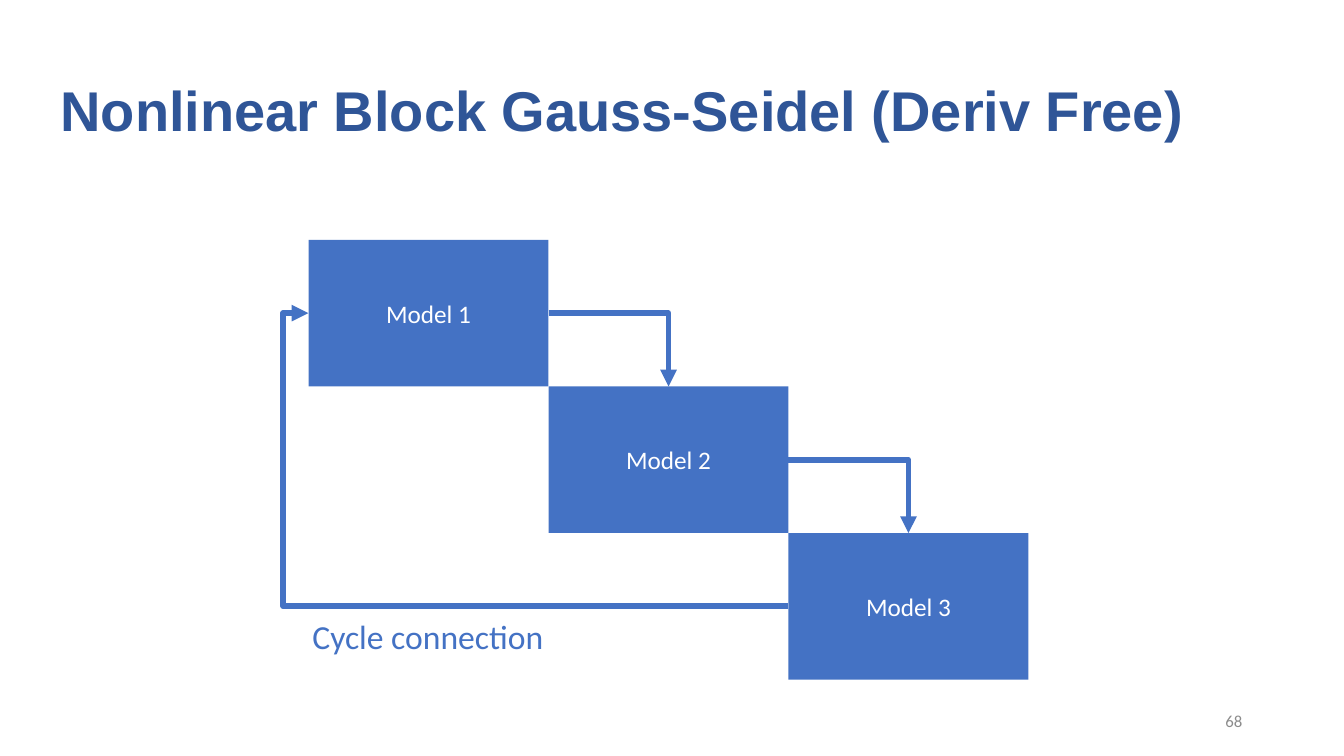
"""Builds a slide showing a block Gauss-Seidel cycle through three models."""
from pptx import Presentation
from pptx.dml.color import RGBColor
from pptx.enum.shapes import MSO_CONNECTOR, MSO_SHAPE
from pptx.enum.text import MSO_ANCHOR, PP_ALIGN
from pptx.oxml.ns import qn
from pptx.util import Inches, Pt
from lxml.etree import SubElement

TITLE = "Nonlinear Block Gauss-Seidel (Deriv Free)"
MODELS = ["Model 1", "Model 2", "Model 3"]
CYCLE_LABEL = "Cycle connection"
PAGE = "68"

BLUE, NAVY, GRAY, WHITE = "4472C4", "2F5597", "8C8C8C", "FFFFFF"
LEFT, TOP = 3.06, 2.38
COL, ROW = 2.38, 1.454
TOP_SIDE, LEFT_SIDE, RIGHT_SIDE = 0, 1, 3
CYCLE_BEND = 105300


def rgb(value):
    return RGBColor.from_string(value)


def place(sp, x, y, w, h):
    sp.left, sp.top, sp.width, sp.height = map(Inches, (x, y, w, h))


def write(sp, text, size, color, align, anchor, font="Calibri", bold=False):
    tf = sp.text_frame
    tf.text = text
    tf.word_wrap = True
    tf.vertical_anchor = anchor
    p = tf.paragraphs[0]
    p.alignment = align
    p.font.size, p.font.name, p.font.bold = Pt(size), font, bold
    p.font.color.rgb = rgb(color)
    return p


def add_label(x, y, w, h, *style):
    write(slide.shapes.add_textbox(*map(Inches, (x, y, w, h))), *style)


def add_block(index, text):
    sp = slide.shapes.add_shape(MSO_SHAPE.RECTANGLE, 0, 0, 0, 0)
    place(sp, LEFT + index * COL, TOP + index * ROW, COL, ROW)
    sp.shadow.inherit = False
    sp.fill.solid()
    sp.fill.fore_color.rgb = rgb(BLUE)
    sp.line.fill.background()
    write(sp, text, 18, WHITE, PP_ALIGN.CENTER, MSO_ANCHOR.MIDDLE)
    return sp


def add_arrow(source, source_side, target, target_side, bend=None):
    cxn = slide.shapes.add_connector(MSO_CONNECTOR.ELBOW, 0, 0, 0, 0)
    cxn.begin_connect(source, source_side)
    cxn.end_connect(target, target_side)
    cxn.line.color.rgb = rgb(BLUE)
    cxn.line.width = Pt(4)
    props = cxn._element.spPr
    SubElement(props.find(qn("a:ln")), qn("a:tailEnd"), type="triangle")
    SubElement(props, qn("a:effectLst"))
    geom = props.find(qn("a:prstGeom"))
    if bend is None:
        geom.set("prst", "bentConnector2")
    else:
        guides = geom.find(qn("a:avLst"))
        SubElement(guides, qn("a:gd"), name="adj1", fmla=f"val {bend}")


prs = Presentation()
prs.slide_width, prs.slide_height = Inches(13.33), Inches(7.5)
slide = prs.slides.add_slide(prs.slide_layouts[5])

title = slide.shapes.title
place(title, 0.5, 0.4, 12.48, 1.45)
p = write(title, TITLE, 40, NAVY, PP_ALIGN.LEFT, MSO_ANCHOR.MIDDLE, "Arial", True)
p.line_spacing = 0.9

blocks = [add_block(i, text) for i, text in enumerate(MODELS)]
add_arrow(blocks[-1], LEFT_SIDE, blocks[0], LEFT_SIDE, CYCLE_BEND)
for source, target in zip(blocks, blocks[1:]):
    add_arrow(source, RIGHT_SIDE, target, TOP_SIDE)

add_label(3, 6.06, 2.87, 0.5, CYCLE_LABEL, 24, BLUE, PP_ALIGN.LEFT, MSO_ANCHOR.TOP)
add_label(9.42, 6.95, 3, 0.4, PAGE, 12, GRAY, PP_ALIGN.RIGHT, MSO_ANCHOR.MIDDLE)

prs.save("out.pptx")
